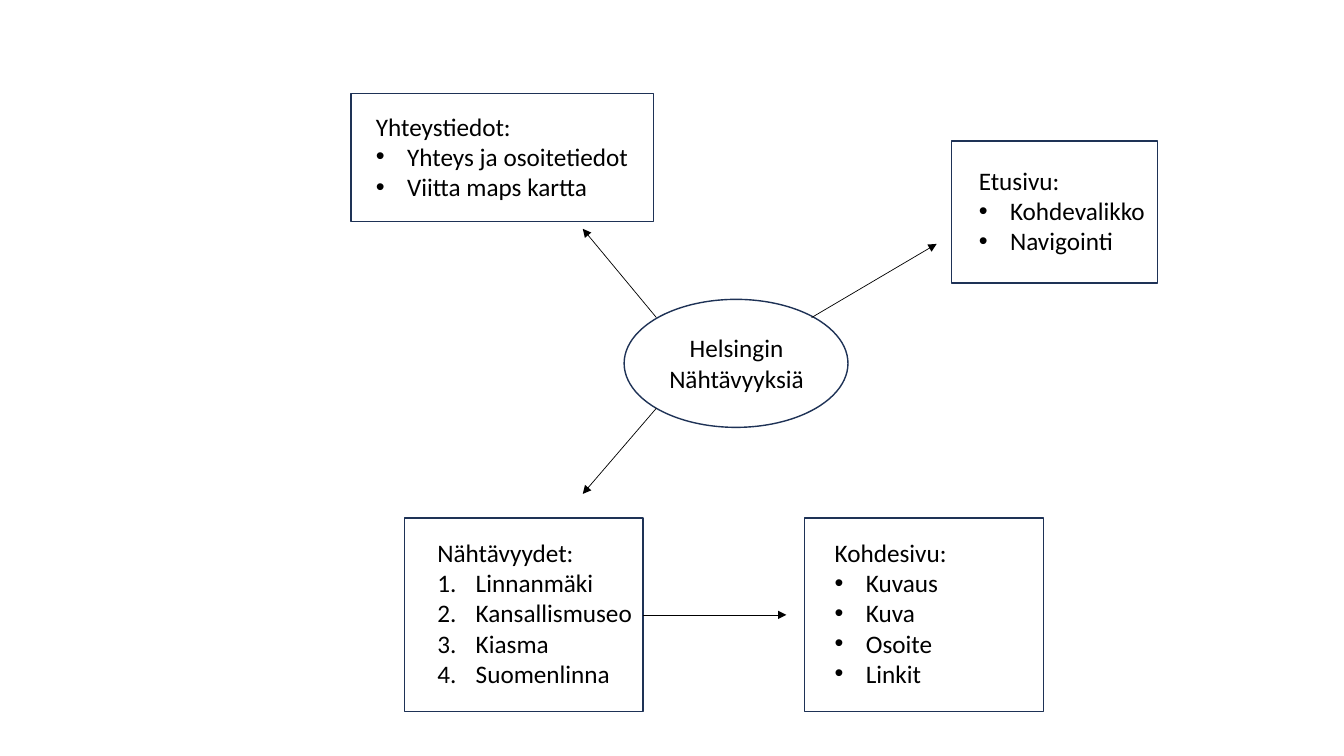
from lxml import etree
from pptx import Presentation
from pptx import util as u
from pptx.dml.color import RGBColor
from pptx.enum import shapes, text
from pptx.oxml.ns import qn

PX = 9144  # EMU per px, 100 px to the inch
COLOURS = {"outline": "1E3256", "ink": "000000"}
FONT = "Calibri"
TEXT_SIZE = 18


class MindMap:
    """Holds the style and the current slide."""

    def __init__(self, slide):
        self.slide = slide

    def colour(self, name):
        return RGBColor.from_string(COLOURS[name])

    def lengths(self, *values):
        return [u.Emu(value * PX) for value in values]

    def outline(self, kind, *place):
        shape = self.slide.shapes.add_shape(kind, *self.lengths(*place))
        shape.shadow.inherit = False
        shape.fill.background()
        shape.line.color.rgb = self.colour("outline")
        shape.line.width = u.Pt(1)

    def arrow(self, *ends):
        line = self.slide.shapes.add_connector(
            shapes.MSO_CONNECTOR.STRAIGHT, *self.lengths(*ends))
        line.line.color.rgb = self.colour("ink")
        line.line.width = u.Pt(0.5)
        etree.SubElement(line.line._get_or_add_ln(), qn("a:tailEnd"), type="triangle")
        etree.SubElement(line._element.spPr, qn("a:effectLst"))

    def text_box(self, place, lines, wrap=True):
        box = self.slide.shapes.add_textbox(*self.lengths(*place))
        frame = box.text_frame
        frame.word_wrap = wrap
        frame.auto_size = text.MSO_AUTO_SIZE.SHAPE_TO_FIT_TEXT
        paras = []
        for index, words in enumerate(lines):
            para = frame.add_paragraph() if index else frame.paragraphs[0]
            span = para.add_run()
            span.text = words
            span.font.name = FONT
            span.font.size = u.Pt(TEXT_SIZE)
            span.font.color.rgb = self.colour("ink")
            paras.append(para)
        return paras

    def title(self, place, lines):
        for para in self.text_box(place, lines, wrap=False):
            para.alignment = text.PP_ALIGN.CENTER

    def topic(self, place, heading, items, numbered=False):
        indent = (38 if numbered else 31) * PX
        for para in self.text_box(place, [heading, *items])[1:]:
            props = para._p.get_or_add_pPr()
            props.set("marL", str(indent))
            props.set("indent", str(-indent))
            if numbered:
                etree.SubElement(props, qn("a:buFont"), typeface="+mj-lt")
                etree.SubElement(props, qn("a:buAutoNum"), type="arabicPeriod")
            else:
                etree.SubElement(props, qn("a:buFont"), typeface="Arial")
                etree.SubElement(props, qn("a:buChar"), char="•")


def main():
    deck = Presentation()
    deck.slide_width, deck.slide_height = u.Inches(13.33), u.Inches(7.5)
    page = MindMap(deck.slides.add_slide(deck.slide_layouts[6]))

    # Centre
    page.outline(shapes.MSO_SHAPE.OVAL, 619, 297, 222, 127)
    page.title((653, 325, 155, 71), ["Helsingin", "Nähtävyyksiä"])

    # Topics: frame, text place, heading, items, numbered
    topics = [
        ((348, 93, 300, 127), (363, 105, 289, 101), "Yhteystiedot:",
         ["Yhteys ja osoitetiedot", "Viitta maps kartta"], False),
        ((944, 140, 204, 141), (961, 159, 204, 101), "Etusivu:",
         ["Kohdevalikko", "Navigointi"], False),
        ((401, 514, 237, 192), (424, 528, 222, 192), "Nähtävyydet:",
         ["Linnanmäki", "Kansallismuseo", "Kiasma", "Suomenlinna"], True),
        ((798, 514, 237, 192), (818, 528, 222, 162), "Kohdesivu:",
         ["Kuvaus", "Kuva", "Osoite", "Linkit"], False),
    ]
    for frame, place, heading, items, numbered in topics:
        page.outline(shapes.MSO_SHAPE.RECTANGLE, *frame)
        page.topic(place, heading, items, numbered)

    # Arrows
    for ends in [(651, 315, 578, 227), (805, 315, 929, 242),
                 (651, 405, 578, 490), (638, 610, 780, 610)]:
        page.arrow(*ends)

    deck.save("out.pptx")


if __name__ == "__main__":
    main()
